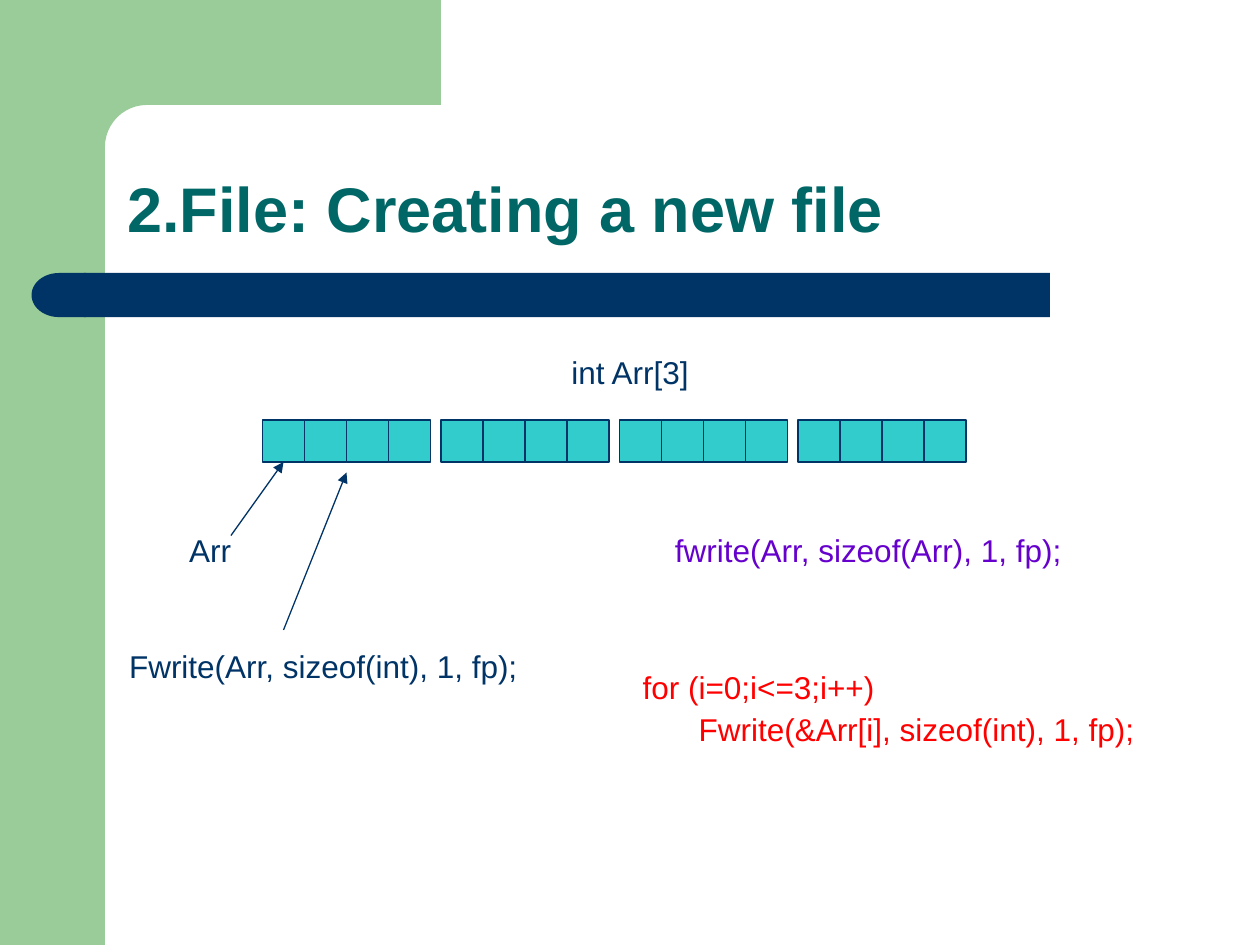
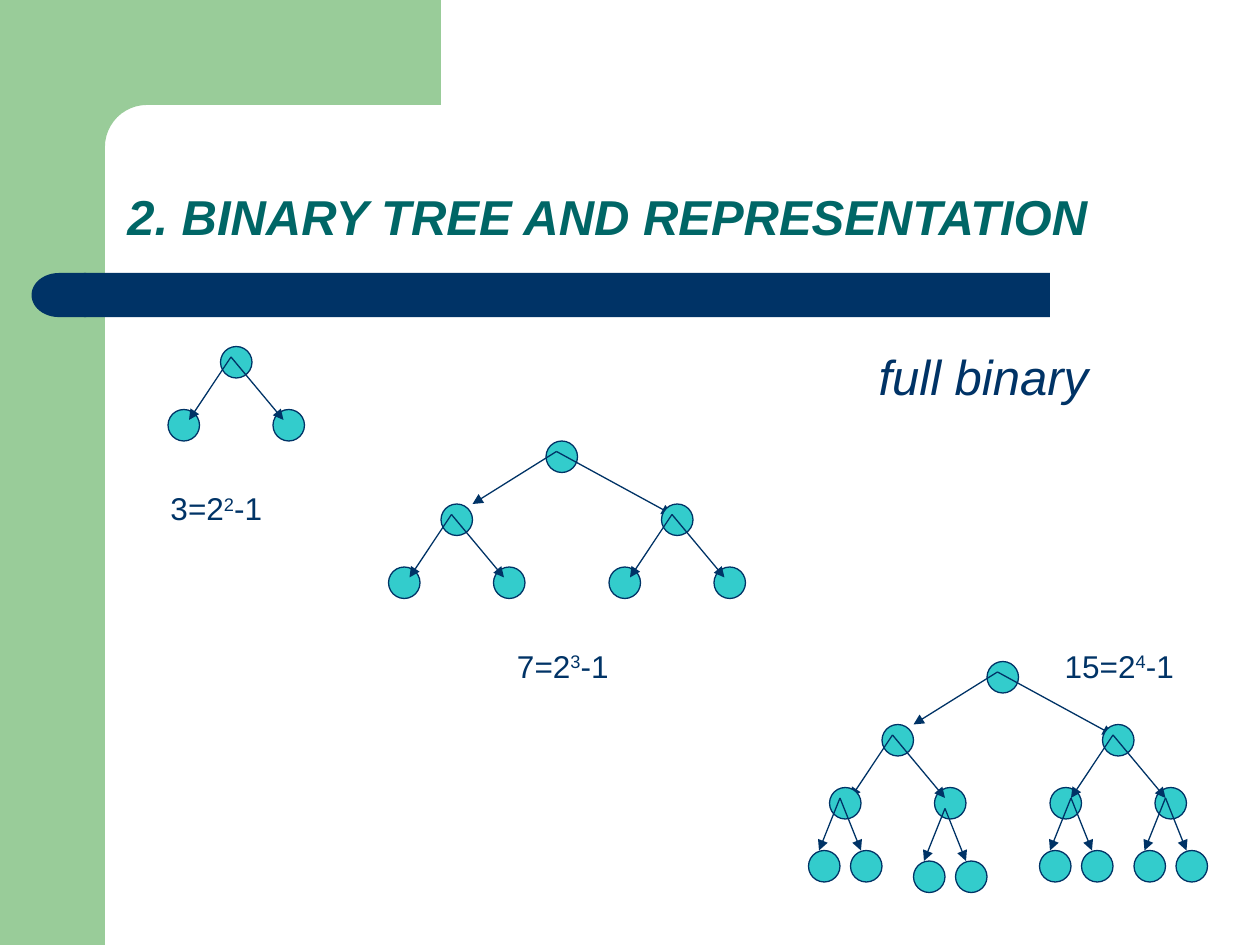
import math

import pptx
import pptx.dml.color
import pptx.enum.shapes
import pptx.enum.text
import pptx.oxml
import pptx.oxml.ns
import pptx.util
from lxml import etree

SHAPE = pptx.enum.shapes.MSO_SHAPE
ALIGN = pptx.enum.text.PP_ALIGN
FONT = "Arial"
GREEN, NAVY, TEAL, AQUA = "99CC99", "003366", "006666", "33CCCC"
PURPLE, RED = "6600CC", "FF0000"


def grid(count):
    """Length of a count of grid steps, twelve to the inch."""
    return pptx.util.Cm(count * 2.54 / 12)


def color(code):
    return pptx.dml.color.RGBColor.from_string(code)


def paint(shape, fill, line=None):
    shape.shadow.inherit = False
    shape.fill.solid()
    shape.fill.fore_color.rgb = color(fill)
    if line:
        shape.line.color.rgb = color(line)
        shape.line.width = pptx.util.Pt(0.75)
    else:
        shape.line.fill.background()


def block(slide, kind, x, y, wide, high, fill, line=None):
    shape = slide.shapes.add_shape(kind, grid(x), grid(y), grid(wide), grid(high))
    paint(shape, fill, line)
    return shape


def arrow(slide, x1, y1, x2, y2):
    link = slide.shapes.add_connector(
        pptx.enum.shapes.MSO_CONNECTOR.STRAIGHT,
        grid(x1), grid(y1), grid(x2), grid(y2))
    link.line.color.rgb = color(NAVY)
    link.line.width = pptx.util.Pt(0.75)
    tail = etree.SubElement(link.line._get_or_add_ln(), pptx.oxml.ns.qn("a:tailEnd"))
    tail.set("type", "triangle")
    etree.SubElement(link._element.spPr, pptx.oxml.ns.qn("a:effectLst"))


def add_run(para, text, size, code, bold=False, italic=False, raised=False):
    run = para.add_run()
    run.text = text
    font = run.font
    font.name, font.size = FONT, pptx.util.Pt(size)
    font.bold, font.italic = bold, italic
    font.color.rgb = color(code)
    if raised:
        run._r.get_or_add_rPr().set("baseline", "30000")


def label(slide, x, y, wide, text, code=NAVY, size=18, high=4.8,
          wrap=False, italic=False, power=None, rest=""):
    """Centred text, with an optional raised power and the rest after it."""
    box = slide.shapes.add_textbox(grid(x), grid(y), grid(wide), grid(high))
    frame = box.text_frame
    frame.word_wrap = wrap
    frame.auto_size = pptx.enum.text.MSO_AUTO_SIZE.SHAPE_TO_FIT_TEXT
    para = frame.paragraphs[0]
    para.alignment = ALIGN.CENTER
    add_run(para, text, size, code, italic=italic)
    if power:
        add_run(para, power, size, code, raised=True)
        add_run(para, rest, size, code)


def corner(slide):
    """Top band with a rounded inner corner."""
    arc = []
    for step in range(13):
        turn = math.pi / 2 * step / 12
        arc.append((14 - 4 * math.sin(turn), 14 - 4 * math.cos(turn)))
    points = [(42, 0), (42, 10), *arc, (10, 15.4), (6, 15.4)]
    pen = slide.shapes.build_freeform(grid(6), 0)
    pen.add_line_segments([(grid(x), grid(y)) for x, y in points], close=True)
    paint(pen.convert_to_shape(), GREEN)


def new_slide(deck, title, size, italic=False):
    slide = deck.slides.add_slide(deck.slide_layouts[6])
    block(slide, SHAPE.RECTANGLE, 0, 0, 10, 90, GREEN)
    corner(slide)
    bar = block(slide, SHAPE.ROUNDED_RECTANGLE, 8, 26, 92, 4.2, NAVY)
    bar.adjustments[0] = 0
    cap = block(slide, SHAPE.FLOWCHART_DELAY, 3, 26, 5.2, 4.2, NAVY)
    cap.rotation = 180
    box = slide.shapes.add_textbox(grid(10.95), grid(10.9), grid(102.1), grid(13.1))
    frame = box.text_frame
    frame.word_wrap = True
    frame.vertical_anchor = pptx.enum.text.MSO_ANCHOR.BOTTOM
    para = frame.paragraphs[0]
    para.line_spacing = 0.9
    add_run(para, title, size, TEAL, bold=True, italic=italic)
    return slide


def node(slide, x, y):
    block(slide, SHAPE.OVAL, x, y, 3, 3, AQUA, NAVY)


def fork(slide, x, y, cover=False):
    """Node with two children; cover puts the left child over its arrow."""
    node(slide, x, y)
    node(slide, x + 5, y + 6)
    if not cover:
        node(slide, x - 5, y + 6)
    arrow(slide, x + 1, y + 1, x - 3, y + 7)
    arrow(slide, x + 1, y + 1, x + 6, y + 7)
    if cover:
        node(slide, x - 5, y + 6)


def crown(slide, x, y, cover=False):
    """Root with a fork on each side."""
    node(slide, x, y)
    arrow(slide, x + 1, y + 1, x - 7, y + 6)
    arrow(slide, x + 1, y + 1, x + 12, y + 7)
    fork(slide, x - 10, y + 6, cover)
    fork(slide, x + 11, y + 6)


def leaves(slide, x, y):
    for left in (x, x + 4):
        node(slide, left, y)
        arrow(slide, x + 3, y - 5, left + 1, y)


def file_slide(deck):
    slide = new_slide(deck, "2.File: Creating a new file", 36)
    for item in range(4):
        for byte in range(4):
            block(slide, SHAPE.RECTANGLE, 25 + 17 * item + 4 * byte, 40, 4, 4,
                  AQUA, NAVY)
    label(slide, 52, 33, 16, "int Arr[3]", wrap=True)
    label(slide, 12, 50, 16, "Arr", wrap=True)
    arrow(slide, 22, 51, 27, 44)
    label(slide, 11, 61, 39.6, "Fwrite(Arr, sizeof(int), 1, fp);")
    arrow(slide, 27, 60, 33, 45)
    label(slide, 63, 50, 39.4, "fwrite(Arr, sizeof(Arr), 1, fp);", PURPLE)
    label(slide, 65.35, 67, 43.9, "Fwrite(&Arr[i], sizeof(int), 1, fp);", RED)
    label(slide, 60, 63, 24.5, "for (i=0;i<=3;i++)", RED)


def tree_slide(deck):
    slide = new_slide(deck, "2. BINARY TREE AND REPRESENTATION", 28, italic=True)
    fork(slide, 21, 33)
    crown(slide, 52, 42)
    crown(slide, 94, 63, cover=True)
    for x, y in ((77, 81), (87, 82), (99, 81), (108, 81)):
        leaves(slide, x, y)
    for x, y, wide, text, power in ((14.9, 46, 11.4, "3=2", "2"),
                                    (47.9, 61, 11.4, "7=2", "3"),
                                    (100, 61, 13.2, "15=2", "4")):
        label(slide, x, y, wide, text, power=power, rest="-1")
    label(slide, 82.2, 32.4, 22.9, "full binary", size=28, high=6.8, italic=True)


def main():
    deck = pptx.Presentation()
    deck.slide_width, deck.slide_height = grid(120), grid(90)
    file_slide(deck)
    tree_slide(deck)
    deck.save("out.pptx")


if __name__ == "__main__":
    main()
